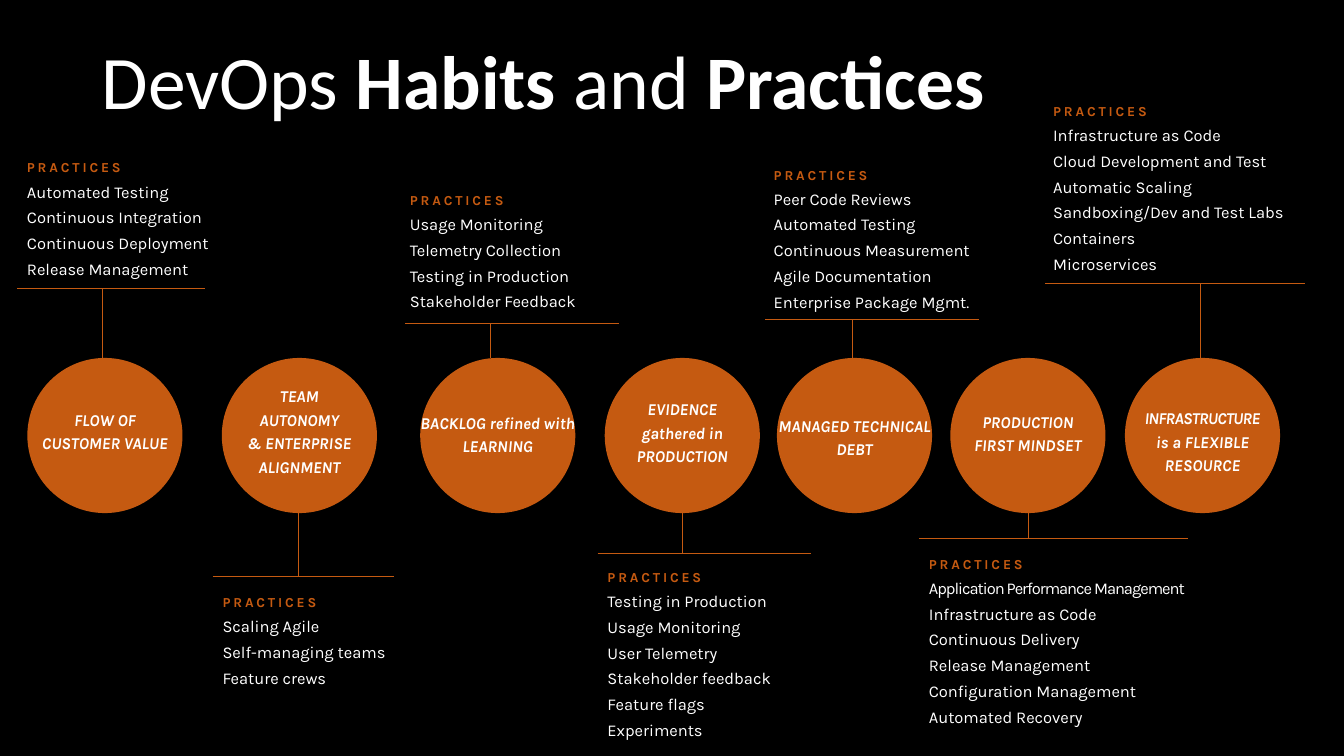
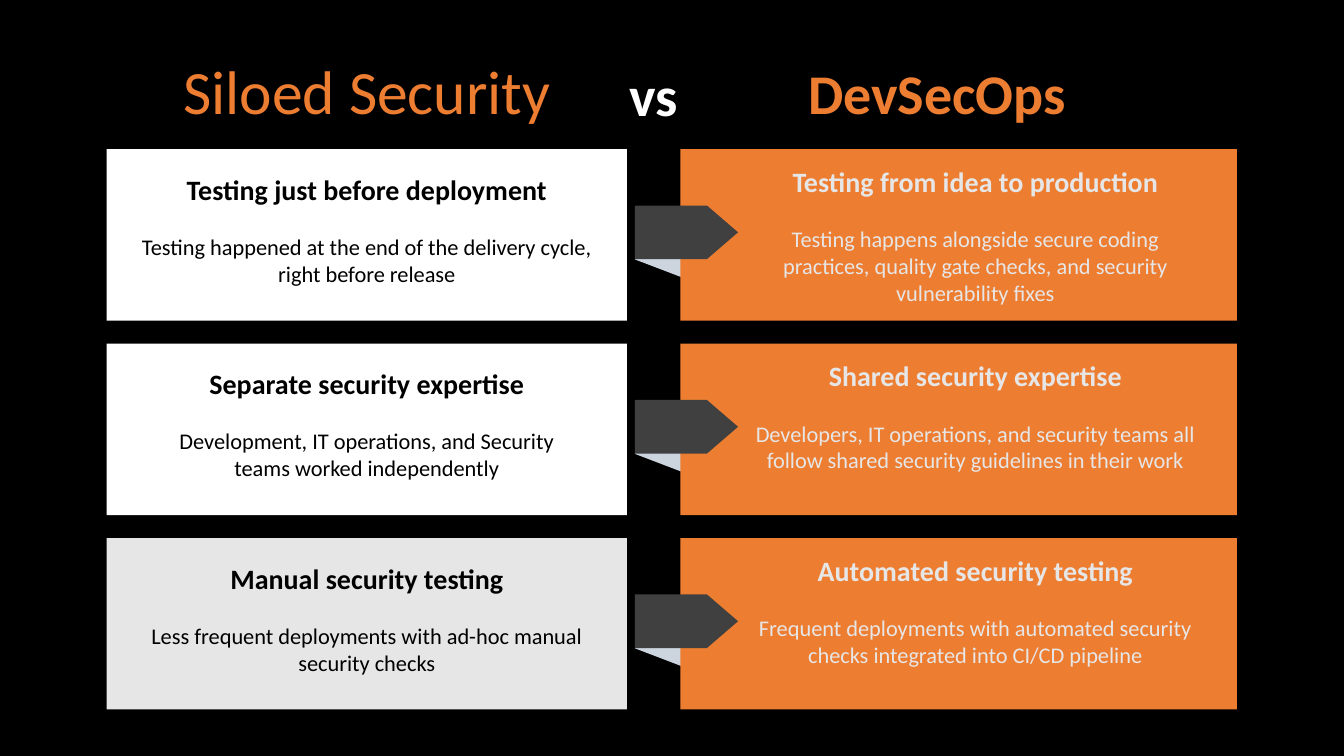
from dataclasses import dataclass

from lxml import etree
from pptx import Presentation
from pptx.dml.color import RGBColor
from pptx.enum.shapes import MSO_CONNECTOR, MSO_SHAPE
from pptx.enum.text import MSO_ANCHOR, MSO_AUTO_SIZE, PP_ALIGN
from pptx.oxml.ns import qn
from pptx.util import Cm, Pt

STRAIGHT = MSO_CONNECTOR.STRAIGHT
CIRCLE, RECTANGLE, ARROW = MSO_SHAPE.OVAL, MSO_SHAPE.RECTANGLE, MSO_SHAPE.PENTAGON
LEFT, CENTER = PP_ALIGN.LEFT, PP_ALIGN.CENTER
TOP, MIDDLE = MSO_ANCHOR.TOP, MSO_ANCHOR.MIDDLE
NO_AUTOFIT = MSO_AUTO_SIZE.NONE

COLORS = {
    "black": "000000",
    "white": "FFFFFF",
    "rust": "C55A11",
    "orange": "ED7D31",
    "pale": "E7E6E6",
    "charcoal": "404040",
    "fold": "CCD4DE",
}
HEADING_FONT, HABIT_FONT = "Calibri", "Karla"
LETTER_SPACING = {
    "PRACTICES": 2,
    "Application Performance Management": -0.7,
    "INFRASTRUCTURE": -0.5,
}

CIRCLE_TOP, CIRCLE_SIZE = 9.02, 3.91
CARD_TOP, CARD_STEP, CARD_HEIGHT = 3.76, 4.9, 4.32


@dataclass
class Habit:
    label: str
    practices: list
    circle_left: float
    stem_x: float
    rule: tuple
    list_at: tuple
    list_width: float = 6.12
    label_insets: tuple = (0, 0)


HABITS = [
    Habit("FLOW OF\nCUSTOMER VALUE",
          ["Automated Testing", "Continuous Integration", "Continuous Deployment",
           "Release Management"],
          0.69, 2.59, (0.43, 5.16, 7.26), (0.43, 3.68), label_insets=(0, 0.3)),
    Habit("TEAM\nAUTONOMY\n& ENTERPRISE\nALIGNMENT",
          ["Scaling Agile", "Self-managing teams", "Feature crews"],
          5.59, 7.52, (5.36, 9.93, 14.53), (5.36, 14.63), label_insets=(0, 0.3)),
    Habit("BACKLOG refined with\nLEARNING",
          ["Usage Monitoring", "Telemetry Collection", "Testing in Production",
           "Stakeholder Feedback"],
          10.59, 12.37, (10.21, 15.6, 8.15), (10.08, 4.5), label_insets=(0, 0.15)),
    Habit("EVIDENCE\ngathered in\nPRODUCTION",
          ["Testing in Production", "Usage Monitoring", "User Telemetry",
           "Stakeholder feedback", "Feature flags", "Experiments"],
          15.24, 17.2, (15.06, 20.45, 13.94), (15.06, 14), label_insets=(0, 0.25)),
    Habit("MANAGED TECHNICAL\nDEBT",
          ["Peer Code Reviews", "Automated Testing", "Continuous Measurement",
           "Agile Documentation", "Enterprise Package Mgmt."],
          19.58, 21.49, (19.28, 24.66, 8.05), (19.25, 3.86)),
    Habit("PRODUCTION\nFIRST MINDSET",
          ["Application Performance Management", "Infrastructure as Code",
           "Continuous Delivery", "Release Management", "Configuration Management",
           "Automated Recovery"],
          23.95, 25.91, (23.16, 29.95, 13.56), (23.16, 13.67), 7.3, (0, 0.2)),
    Habit("INFRASTRUCTURE\nis a FLEXIBLE\nRESOURCE",
          ["Infrastructure as Code", "Cloud Development and Test", "Automatic Scaling",
           "Sandboxing/Dev and Test Labs", "Containers", "Microservices"],
          28.35, 30.25, (26.34, 32.89, 7.14), (26.29, 2.26), 7.3, (0.2, 0)),
]

COMPARISONS = [
    ("white", "Testing just before deployment",
     "Testing happened at the end of the delivery cycle, right before release",
     "Testing from idea to production",
     "Testing happens alongside secure coding practices, quality gate checks, "
     "and security vulnerability fixes"),
    ("white", "Separate security expertise",
     "Development, IT operations, and Security\nteams worked independently",
     "Shared security expertise",
     "Developers, IT operations, and security teams all follow shared security "
     "guidelines in their work"),
    ("pale", "Manual security testing",
     "Less frequent deployments with ad-hoc manual security checks",
     "Automated security testing",
     "Frequent deployments with automated security checks integrated into "
     "CI/CD pipeline"),
]


def rgb(name):
    return RGBColor.from_string(COLORS[name])


def cm(*lengths):
    return [Cm(length) for length in lengths]


def format_paragraph(paragraph, font, size, color, bold=False, italic=False,
                     align=LEFT, spacing=1.0):
    paragraph.alignment = align
    paragraph.line_spacing = spacing
    for run in paragraph.runs:
        run.font.name = font
        run.font.size = Pt(size)
        run.font.color.rgb = rgb(color)
        run.font.bold = bold
        run.font.italic = italic
        if run.text in LETTER_SPACING:
            points = LETTER_SPACING[run.text]
            run._r.get_or_add_rPr().set("spc", str(round(points * 100)))


def set_frame(frame, anchor=TOP, wrap=True, insets=None):
    frame.auto_size = NO_AUTOFIT
    frame.word_wrap = wrap
    frame.vertical_anchor = anchor
    if insets:
        (frame.margin_left, frame.margin_top,
         frame.margin_right, frame.margin_bottom) = cm(*insets)


def add_title_slide(prs, box, parts, size, color, align=LEFT):
    slide = prs.slides.add_slide(prs.slide_layouts[5])
    title = slide.shapes.title
    title.left, title.top, title.width, title.height = cm(*box)
    set_frame(title.text_frame, MIDDLE)
    paragraph = title.text_frame.paragraphs[0]
    for text, _ in parts:
        paragraph.add_run().text = text
    format_paragraph(paragraph, HEADING_FONT, size, color, align=align, spacing=0.9)
    for run, (_, bold) in zip(paragraph.runs, parts):
        run.font.bold = bold
    return slide


def add_block(slide, preset, box, color):
    block = slide.shapes.add_shape(preset, *cm(*box))
    block.shadow.inherit = False
    block.fill.solid()
    block.fill.fore_color.rgb = rgb(color)
    block.line.fill.background()
    return block


def add_line(slide, *ends):
    line = slide.shapes.add_connector(STRAIGHT, *cm(*ends))
    line.line.color.rgb = rgb("rust")
    line.line.width = Pt(0.5)
    etree.SubElement(line._element.spPr, qn("a:effectLst"))


def add_practices(slide, habit):
    height = 0.9 + 0.65 * len(habit.practices)
    box = slide.shapes.add_textbox(*cm(*habit.list_at, habit.list_width, height))
    frame = box.text_frame
    set_frame(frame)
    frame.text = "\n".join(["PRACTICES", *habit.practices])
    heading, *items = frame.paragraphs
    format_paragraph(heading, HABIT_FONT, 9.8, "rust", bold=True, spacing=1.5)
    for item in items:
        format_paragraph(item, HABIT_FONT, 11.8, "white", spacing=1.3)


def add_habit(slide, habit):
    start, end, rule_y = habit.rule
    above = rule_y < CIRCLE_TOP
    circle_edge = CIRCLE_TOP if above else CIRCLE_TOP + CIRCLE_SIZE
    add_line(slide, habit.stem_x, circle_edge, habit.stem_x, rule_y)
    add_line(slide, start, rule_y, end, rule_y)
    add_practices(slide, habit)
    circle = add_block(slide, CIRCLE,
                       (habit.circle_left, CIRCLE_TOP, CIRCLE_SIZE, CIRCLE_SIZE), "rust")
    top_inset, bottom_inset = habit.label_insets
    set_frame(circle.text_frame, MIDDLE, False, (0, top_inset, 0, bottom_inset))
    label = circle.text_frame.paragraphs[0]
    label.text = habit.label
    format_paragraph(label, HABIT_FONT, 11.8, "white", True, True, CENTER, 1.2)


def add_card(slide, box, fill, color, heading, detail, insets):
    card = add_block(slide, RECTANGLE, box, fill)
    frame = card.text_frame
    set_frame(frame, insets=insets)
    frame.text = heading
    format_paragraph(frame.paragraphs[0], HEADING_FONT, 20, color, True, align=CENTER)
    body = frame.add_paragraph()
    body.text = detail
    body.space_before = Pt(19.5)
    format_paragraph(body, HEADING_FONT, 16, color, align=CENTER)


def add_comparison(slide, top, fill, old, old_detail, new, new_detail):
    add_card(slide, (2.69, top, 13.11, CARD_HEIGHT), fill, "black", old, old_detail,
             (0.44, 0.58, 0.44, 0.1))
    fold = add_block(slide, RECTANGLE, (16.18, top + 1.8, 1.83, 1.35), "fold")
    fold.rotation = 20.9
    add_card(slide, (17.15, top, 14.02, CARD_HEIGHT), "orange", "pale", new, new_detail,
             (1.7, 0.38, 0.86, 0.1))
    arrow = add_block(slide, ARROW, (16, top + 1.42, 2.6, 1.35), "charcoal")
    arrow.adjustments[0] = 0.58


def add_column_heading(slide, box, text, color):
    heading = slide.shapes.add_textbox(*cm(*box))
    set_frame(heading.text_frame, MIDDLE)
    heading.text_frame.text = text
    format_paragraph(heading.text_frame.paragraphs[0], HEADING_FONT, 40, color, True,
                     align=CENTER)


def build_habits(prs):
    parts = [("DevOps ", False), ("Habits", True), (" and ", False), ("Practices", True)]
    slide = add_title_slide(prs, (2.31, 0.3, 29.21, 3.68), parts, 54, "white")
    for habit in HABITS:
        add_habit(slide, habit)


def build_security(prs):
    slide = add_title_slide(prs, (3.45, 0.53, 11.61, 3.68), [("Siloed Security", False)],
                            44, "orange", CENTER)
    for row, comparison in enumerate(COMPARISONS):
        add_comparison(slide, CARD_TOP + row * CARD_STEP, *comparison)
    add_column_heading(slide, (17.81, 0.48, 11.61, 3.68), "DevSecOps", "orange")
    add_column_heading(slide, (15.06, 0.53, 2.82, 3.68), "vs", "white")


def main():
    prs = Presentation()
    prs.slide_width, prs.slide_height = cm(33.87, 19.05)
    backdrop = prs.slide_master.background.fill
    backdrop.solid()
    backdrop.fore_color.rgb = rgb("black")
    build_habits(prs)
    build_security(prs)
    prs.save("out.pptx")


if __name__ == "__main__":
    main()
